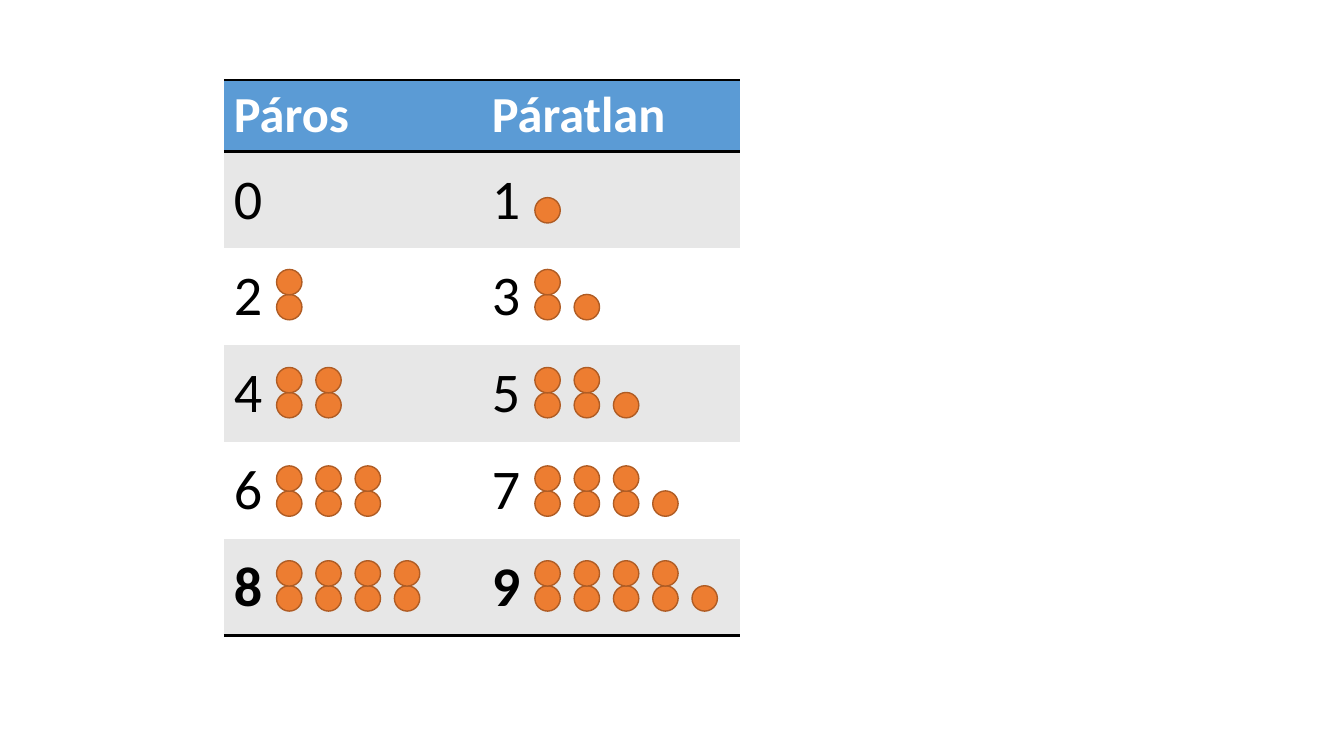
"""Build a slide that shows even and odd digits as paired dots."""
import pptx
import pptx.util
import pptx.oxml
import pptx.oxml.ns
import pptx.dml.color
import pptx.enum.shapes
import pptx.enum.text

Cm = pptx.util.Cm
Pt = pptx.util.Pt

HEADS = ["Páros", "Páratlan"]
PAIRS = [(0, 1), (2, 3), (4, 5), (6, 7), (8, 9)]
COLORS = {"head": "5B9BD5", "band": "E7E7E7", "plain": "FFFFFF",
          "ink": "000000", "dot": "ED7D31", "rim": "AF5C24"}
FONT = "Calibri"
PLAIN_STYLE = "{2D5ABB26-0587-4C30-8999-92F81FD0307C}"

LEFT, TOP = 5.64, 2.01
COL_W, HEAD_H, ROW_H = 6.5, 1.8, 2.44
DOT, STEP, RISE = 0.64, 0.99, 0.63
DOT_LEFTS = [6.97, 13.48]
DOT_TOPS = [4.98, 7.42, 9.89, 12.37, 14.76]


def color(name):
    return pptx.dml.color.RGBColor.from_string(COLORS[name])


def write(cell, text, size, ink, fill, bold):
    cell.fill.solid()
    cell.fill.fore_color.rgb = color(fill)
    cell.vertical_anchor = pptx.enum.text.MSO_ANCHOR.MIDDLE
    run = cell.text_frame.paragraphs[0].add_run()
    run.text = text
    run.font.name = FONT
    run.font.size = Pt(size)
    run.font.bold = bold
    run.font.color.rgb = color(ink)


def edge(cell, sides):
    props = cell._tc.get_or_add_tcPr()
    for spot, side in enumerate(sides):
        props.insert(spot, pptx.oxml.parse_xml(
            f'<a:ln{side} {pptx.oxml.ns.nsdecls("a")} w="{Pt(2)}">'
            f'<a:solidFill><a:srgbClr val="{COLORS["ink"]}"/></a:solidFill>'
            f'</a:ln{side}>'))


def add_grid(slide):
    count = len(PAIRS)
    frame = slide.shapes.add_table(
        count + 1, len(HEADS), Cm(LEFT), Cm(TOP),
        Cm(COL_W * len(HEADS)), Cm(HEAD_H + ROW_H * count))
    grid = frame.table
    grid.first_row = grid.horz_banding = False
    grid._tbl.tblPr.find(pptx.oxml.ns.qn("a:tableStyleId")).text = PLAIN_STYLE
    for row in grid.rows:
        row.height = Cm(ROW_H)
    grid.rows[0].height = Cm(HEAD_H)
    for col, head in enumerate(HEADS):
        grid.columns[col].width = Cm(COL_W)
        write(grid.cell(0, col), head, 36, "plain", "head", True)
        edge(grid.cell(0, col), "TB")
        for row, pair in enumerate(PAIRS, 1):
            fill = "band" if row % 2 else "plain"
            write(grid.cell(row, col), str(pair[col]), 40, "ink", fill, row == count)
        edge(grid.cell(count, col), "B")


def add_dots(slide, digit, left, top):
    for spot in range(digit):
        step, rise = divmod(spot, 2)
        dot = slide.shapes.add_shape(
            pptx.enum.shapes.MSO_SHAPE.OVAL, Cm(left + step * STEP),
            Cm(top - rise * RISE), Cm(DOT), Cm(DOT))
        dot.shadow.inherit = False
        dot.fill.solid()
        dot.fill.fore_color.rgb = color("dot")
        dot.line.color.rgb = color("rim")
        dot.line.width = Pt(1)


def main():
    deck = pptx.Presentation()
    deck.slide_width, deck.slide_height = Cm(33.87), Cm(19.05)
    slide = deck.slides.add_slide(deck.slide_layouts[6])
    add_grid(slide)
    for pair, top in zip(PAIRS, DOT_TOPS):
        for digit, left in zip(pair, DOT_LEFTS):
            add_dots(slide, digit, left, top)
    deck.save("out.pptx")


if __name__ == "__main__":
    main()
